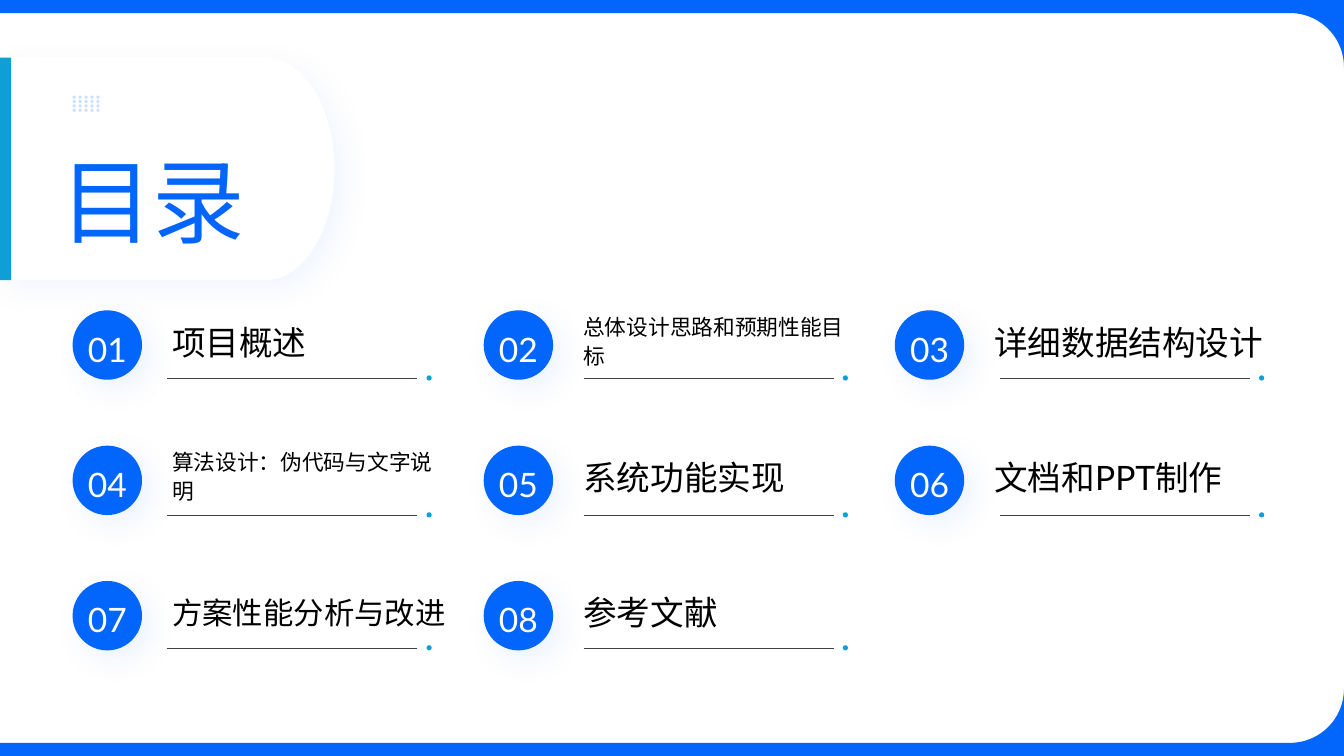
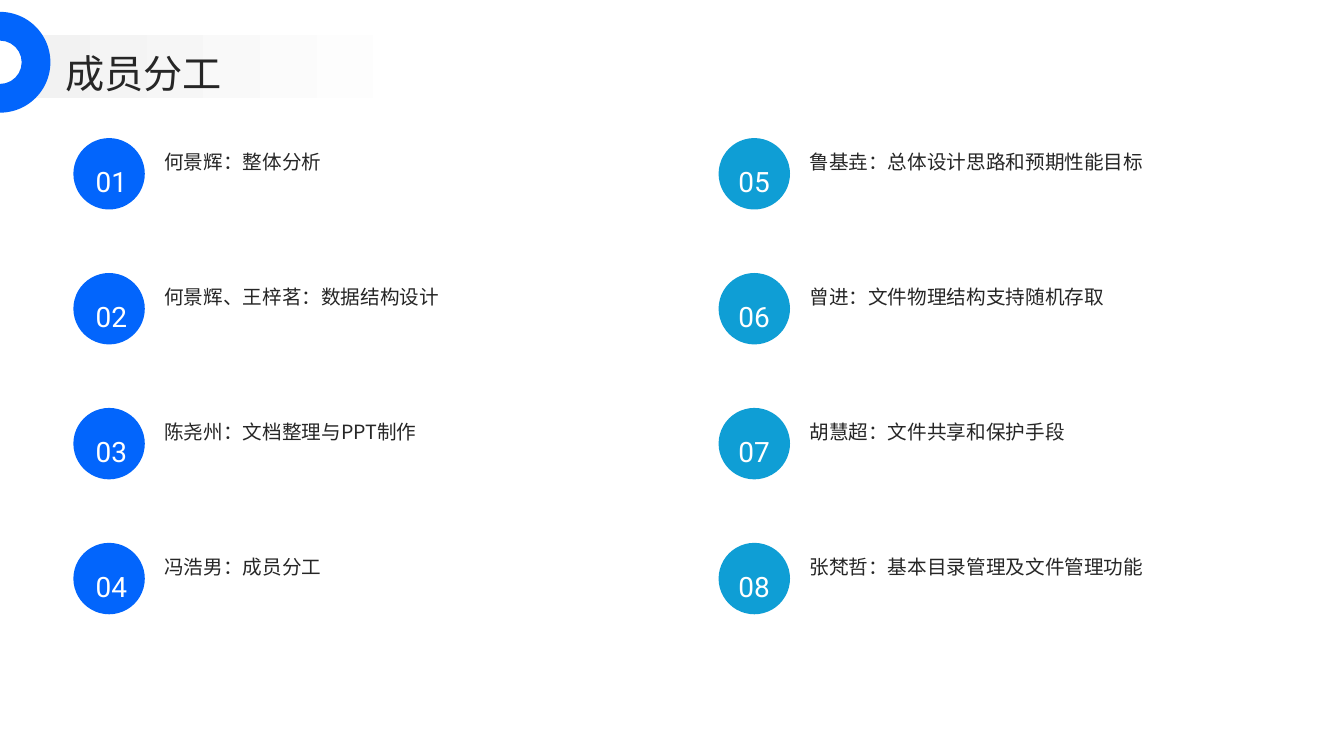
import dataclasses
import math

import lxml.etree
import pptx
import pptx.dml.color
import pptx.enum.shapes
import pptx.enum.text
import pptx.oxml.ns
import pptx.util

Cm = pptx.util.Cm
SHAPES = pptx.enum.shapes.MSO_SHAPE
ALIGN = pptx.enum.text.PP_ALIGN
ANCHOR = pptx.enum.text.MSO_ANCHOR

SLIDE_WIDTH, SLIDE_HEIGHT = 33.87, 19.05
BLUE, TEAL, WHITE = "0265FC", "0F9ED5", "FFFFFF"
BLACK, INK, RULE, PALE = "000000", "262626", "404040", "F2F2F2"
CHINESE_FONT = "Noto Sans CJK SC"


@dataclasses.dataclass(frozen=True)
class Box:
    left: float
    top: float
    width: float
    height: float

    def lengths(self):
        return [Cm(value) for value in dataclasses.astuple(self)]


@dataclasses.dataclass(frozen=True)
class Chapter:
    title: str
    size: float = 24


@dataclasses.dataclass(frozen=True)
class MemberColumn:
    left: float
    color: str
    number_offset: float
    first_number: int
    duties: tuple[str, ...]


CHAPTERS = (
    Chapter("项目概述"),
    Chapter("总体设计思路和预期性能目标", 15.5),
    Chapter("详细数据结构设计"),
    Chapter("算法设计：伪代码与文字说明", 15.5),
    Chapter("系统功能实现"),
    Chapter("文档和PPT制作"),
    Chapter("方案性能分析与改进", 21.7),
    Chapter("参考文献"),
)
RULE_TOPS = (9.53, 12.98, 16.33)

MEMBER_COLUMNS = (
    MemberColumn(1.85, BLUE, 0.36, 1, (
        "何景辉：整体分析",
        "何景辉、王梓茗：数据结构设计",
        "陈尧州：文档整理与PPT制作",
        "冯浩男：成员分工",
    )),
    MemberColumn(18.11, TEAL, 0.3, 5, (
        "鲁基垚：总体设计思路和预期性能目标",
        "曾进：文件物理结构支持随机存取",
        "胡慧超：文件共享和保护手段",
        "张梵哲：基本目录管理及文件管理功能",
    )),
)


def rgb(color: str):
    return pptx.dml.color.RGBColor.from_string(color)


def add_element(parent, tag: str, **attributes: str):
    return lxml.etree.SubElement(parent, pptx.oxml.ns.qn(tag), attributes)


def paint(shape, color: str, opacity: int = 100) -> None:
    shape.shadow.inherit = False
    shape.line.fill.background()
    shape.fill.solid()
    shape.fill.fore_color.rgb = rgb(color)
    if opacity < 100:
        color_element = shape.fill._xPr.find(".//" + pptx.oxml.ns.qn("a:srgbClr"))
        add_element(color_element, "a:alpha", val=str(opacity * 1000))


def add_glow(shape, opacity: int) -> None:
    effects = shape._element.spPr.find(pptx.oxml.ns.qn("a:effectLst"))
    shadow = add_element(
        effects, "a:outerShdw", blurRad=str(pptx.util.Pt(22)), dist=str(pptx.util.Pt(9)),
        dir="2700000", algn="tl", rotWithShape="0")
    color_element = add_element(shadow, "a:srgbClr", val=BLUE)
    add_element(color_element, "a:alpha", val=str(opacity * 1000))


def add_shape(slide, kind, box: Box, color: str, opacity: int = 100):
    shape = slide.shapes.add_shape(kind, *box.lengths())
    paint(shape, color, opacity)
    return shape


def add_text(slide, text: str, box: Box, *, size: float, font: str, color: str,
             spacing: float = 1.1, align=ALIGN.LEFT, anchor=ANCHOR.TOP) -> None:
    frame = slide.shapes.add_textbox(*box.lengths()).text_frame
    frame.word_wrap = True
    frame.vertical_anchor = anchor
    frame.margin_left = frame.margin_top = frame.margin_right = frame.margin_bottom = 0
    paragraph = frame.paragraphs[0]
    paragraph.alignment = align
    paragraph.line_spacing = spacing
    run = paragraph.add_run()
    run.text = text
    run.font.size = pptx.util.Pt(size)
    run.font.color.rgb = rgb(color)
    run.font.name = font
    add_element(run.font._element, "a:ea", typeface=CHINESE_FONT)


def add_rule(slide, left: float, top: float, length: float) -> None:
    line = slide.shapes.add_connector(
        pptx.enum.shapes.MSO_CONNECTOR.STRAIGHT, Cm(left), Cm(top), Cm(left + length), Cm(top))
    line.line.color.rgb = rgb(RULE)
    line.line.width = pptx.util.Pt(0.75)
    add_element(line._element.spPr, "a:effectLst")


def arc(center_x: float, center_y: float, radius_x: float, radius_y: float,
        start: float, end: float, steps: int = 32) -> list[tuple[float, float]]:
    angles = [math.radians(start + (end - start) * step / steps) for step in range(steps + 1)]
    return [(center_x + radius_x * math.cos(angle), center_y + radius_y * math.sin(angle))
            for angle in angles]


def add_outline(slide, contours: list[list[tuple[float, float]]], color: str):
    scaled = [[(Cm(x), Cm(y)) for x, y in contour] for contour in contours]
    builder = slide.shapes.build_freeform(*scaled[0][0])
    builder.add_line_segments(scaled[0][1:], close=True)
    for contour in scaled[1:]:
        builder.move_to(*contour[0])
        builder.add_line_segments(contour[1:], close=True)
    shape = builder.convert_to_shape()
    paint(shape, color)
    return shape


def draw_contents_frame(slide) -> None:
    edge, radius = 0.33, 1.36
    center_x = SLIDE_WIDTH - radius
    bottom = SLIDE_HEIGHT - edge
    lower = [(SLIDE_WIDTH, SLIDE_HEIGHT), (0, SLIDE_HEIGHT), (0, bottom),
             *arc(center_x, bottom - radius, radius, radius, 90, 0)]
    upper = [(0, 0), (SLIDE_WIDTH, 0),
             *arc(center_x, edge + radius, radius, radius, 0, -90), (0, edge)]
    add_outline(slide, [lower, upper], BLUE)


def draw_contents_heading(slide) -> None:
    top, height = 1.45, 5.61
    card = [(0, top), *arc(6.68, top + height / 2, 1.75, height / 2, -90, 90), (0, top + height)]
    add_glow(add_outline(slide, [card], WHITE), 6)
    add_shape(slide, SHAPES.RECTANGLE, Box(0, top, 0.28, height), TEAL)
    add_text(slide, "目录", Box(1.4, 3.35, 4.9, 2.57), size=66, font="Cabin", color=BLUE,
             align=ALIGN.CENTER)
    for row in range(4):
        for column in range(5):
            dot = Box(1.83 + column * 0.15, 2.41 + row * 0.11, 0.08, 0.08)
            add_shape(slide, SHAPES.OVAL, dot, BLUE, opacity=20)


def draw_chapter(slide, index: int, chapter: Chapter) -> None:
    row, column = divmod(index, 3)
    left, top = 1.83 + column * 10.36, 7.82 + row * 3.41
    add_text(slide, chapter.title, Box(left + 2.51, top - 0.13, 6.93, 1.75),
             size=chapter.size, font="Lato", color=BLACK, anchor=ANCHOR.MIDDLE)
    add_glow(add_shape(slide, SHAPES.OVAL, Box(left, top, 1.75, 1.75), BLUE), 8)
    add_text(slide, f"{index + 1:02}", Box(left + 0.2, top + 0.36, 1.35, 0.91),
             size=24, font="Lato", color=WHITE, align=ALIGN.CENTER)
    rule_left, rule_top = 4.22 + column * 10.49, RULE_TOPS[row]
    add_shape(slide, SHAPES.OVAL, Box(rule_left + 6.53, rule_top - 0.07, 0.13, 0.13), TEAL)
    add_rule(slide, rule_left, rule_top, 6.3)


def draw_contents(slide) -> None:
    draw_contents_frame(slide)
    draw_contents_heading(slide)
    for index, chapter in enumerate(CHAPTERS):
        draw_chapter(slide, index, chapter)


def draw_page_title(slide, title: str) -> None:
    band = add_shape(slide, SHAPES.RECTANGLE, Box(0.84, 0.89, 12.5, 1.57), PALE)
    band.fill.gradient()
    band.fill.gradient_angle = 0
    for stop, position, color in zip(band.fill.gradient_stops, (0, 0.8), (PALE, WHITE)):
        stop.position = position
        stop.color.rgb = rgb(color)
    add_text(slide, title, Box(1.65, 1.12, 30.18, 1.3), size=28, font=CHINESE_FONT, color=INK,
             anchor=ANCHOR.MIDDLE)
    ring = add_shape(slide, SHAPES.BLOCK_ARC, Box(-1.27, 0.3, 2.54, 2.54), BLUE)
    ring.rotation = 90
    for index, value in enumerate((108, 0, 0.285)):
        ring.adjustments[index] = value


def draw_members(slide) -> None:
    for column in MEMBER_COLUMNS:
        for row, duty in enumerate(column.duties):
            left, top = column.left, 3.48 + row * 3.4
            add_shape(slide, SHAPES.OVAL, Box(left, top, 1.8, 1.8), column.color)
            add_text(slide, duty, Box(left + 2.29, top, 11.61, 3.02),
                     size=14, font=CHINESE_FONT, color=INK, spacing=1.5)
            add_text(slide, f"{column.first_number + row:02}",
                     Box(left + column.number_offset, top + 0.48, 1.19, 0.81),
                     size=20, font="Roboto", color=WHITE, spacing=1.5,
                     align=ALIGN.CENTER, anchor=ANCHOR.MIDDLE)
    draw_page_title(slide, "成员分工")


def main() -> None:
    presentation = pptx.Presentation()
    presentation.slide_width = Cm(SLIDE_WIDTH)
    presentation.slide_height = Cm(SLIDE_HEIGHT)
    blank_layout = presentation.slide_layouts[6]
    for draw in (draw_contents, draw_members):
        draw(presentation.slides.add_slide(blank_layout))
    presentation.save("out.pptx")


if __name__ == "__main__":
    main()
